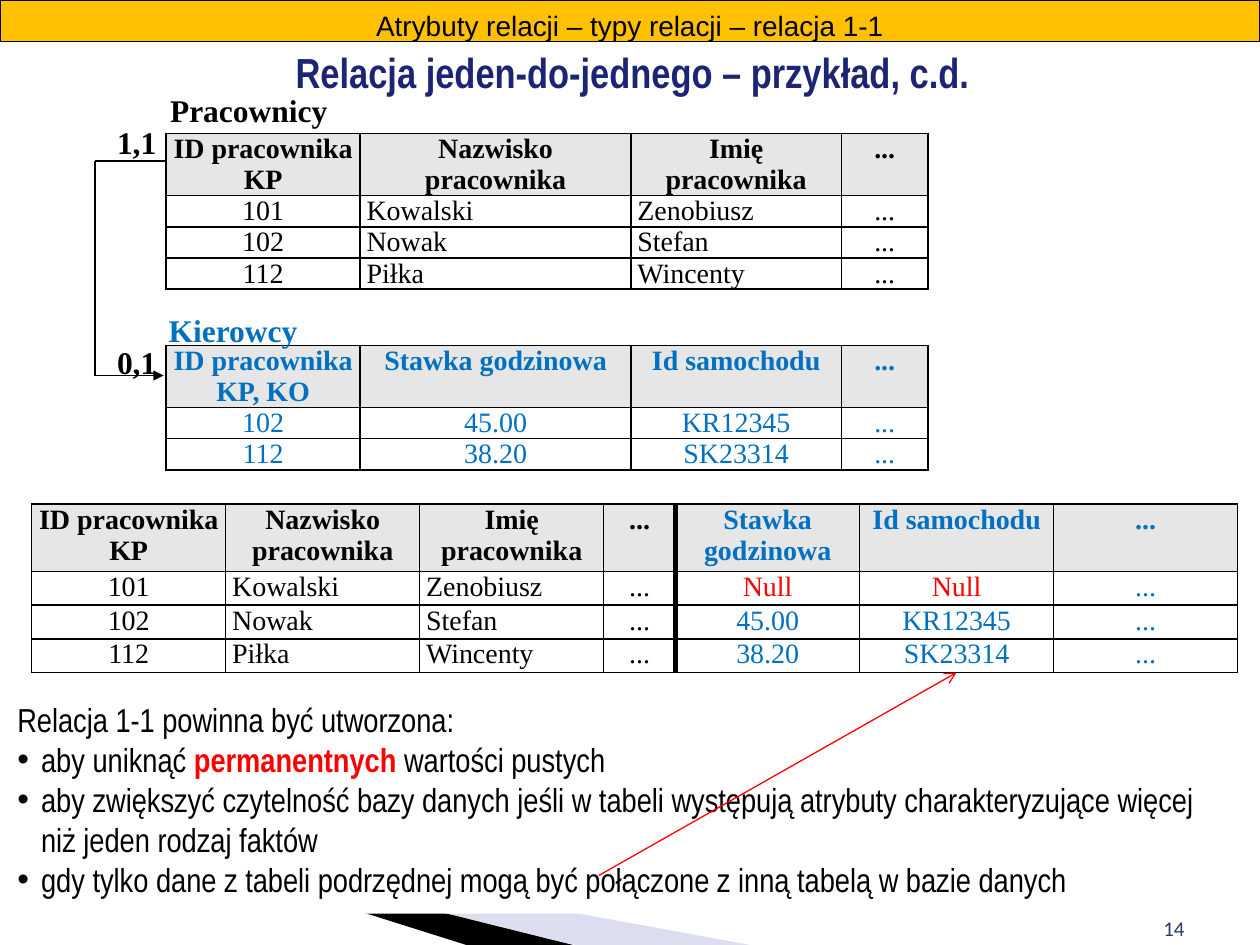
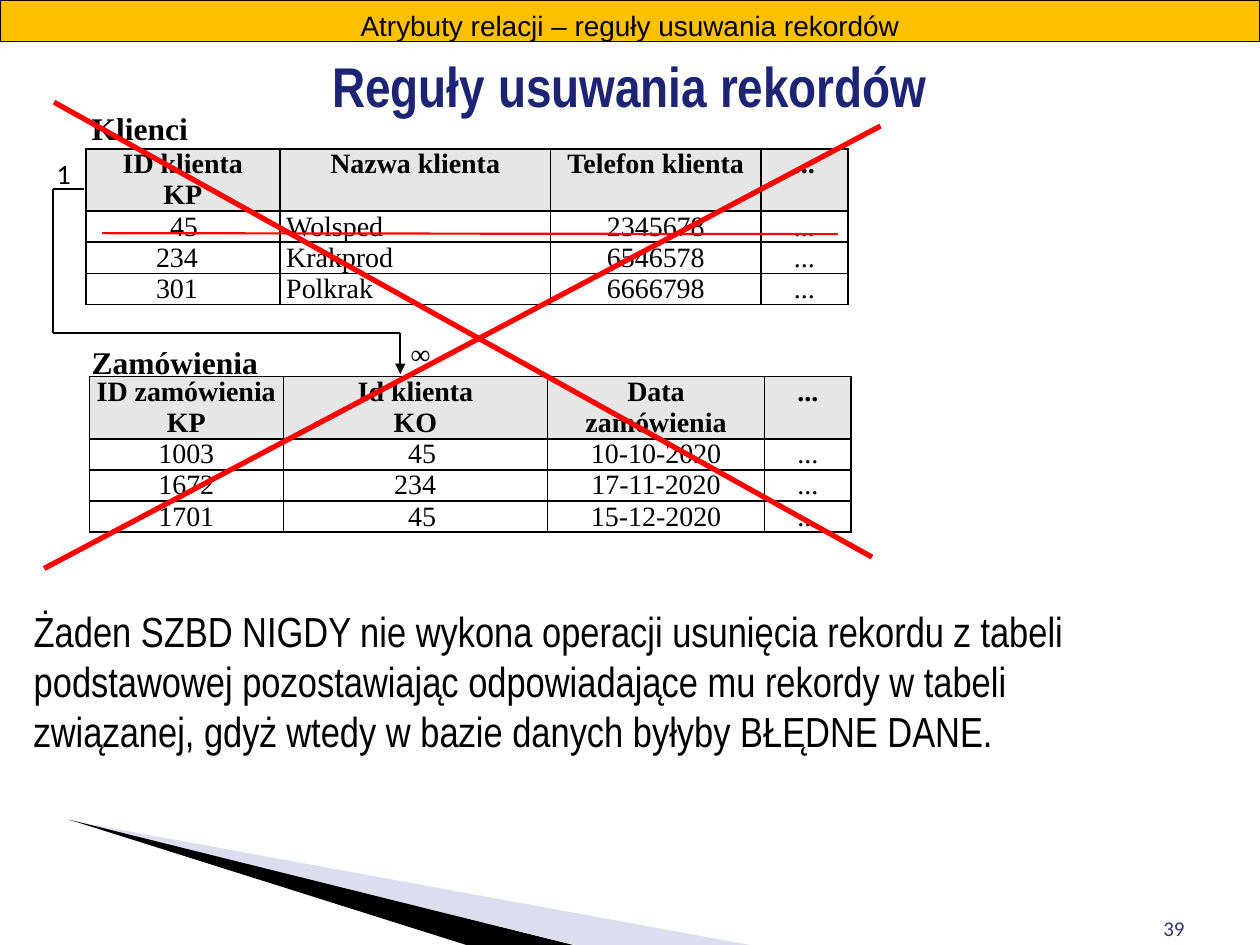
import pptx
import pptx.dml.color
import pptx.enum.shapes
import pptx.enum.text
import pptx.oxml.ns
import pptx.util
from lxml import etree

Cm = pptx.util.Cm
Pt = pptx.util.Pt
RGBColor = pptx.dml.color.RGBColor
Align = pptx.enum.text.PP_ALIGN
Anchor = pptx.enum.text.MSO_ANCHOR
qn = pptx.oxml.ns.qn

BLACK = RGBColor(0x00, 0x00, 0x00)
WHITE = RGBColor(0xFF, 0xFF, 0xFF)
RED = RGBColor(0xFF, 0x00, 0x00)
BLUE = RGBColor(0x00, 0x70, 0xC0)
NAVY = RGBColor(0x1D, 0x24, 0x74)
NUMBER_BLUE = RGBColor(0x30, 0x35, 0x6E)
AMBER = RGBColor(0xFF, 0xC0, 0x00)
HEADER_GREY = RGBColor(0xE6, 0xE6, 0xE6)
LAVENDER = RGBColor(0xA8, 0xAB, 0xD5)
SERIF = "Times New Roman"
NARROW = "Arial Narrow"
WIDTH, HEIGHT = 25.4, 19.05


def fill_text(shape, text, size, font, color, bold=False, align=Align.LEFT,
              inset=0.13, side_inset=0.25, anchor=Anchor.TOP):
    frame = shape.text_frame
    frame.word_wrap = True
    frame.auto_size = pptx.enum.text.MSO_AUTO_SIZE.NONE
    frame.vertical_anchor = anchor
    frame.margin_top = frame.margin_bottom = Cm(inset)
    frame.margin_left = frame.margin_right = Cm(side_inset)
    frame.text = text
    for paragraph in frame.paragraphs:
        paragraph.alignment = align
        paragraph.font.size = Pt(size)
        paragraph.font.name = font
        paragraph.font.bold = bold
        paragraph.font.color.rgb = color


def add_data_table(slide, left, top, heights, widths, alignments, colors, rows,
                   divider=None, tab=None):
    header_height, row_height = heights
    total = header_height + row_height * (len(rows) - 1)
    table = slide.shapes.add_table(len(rows), len(widths), Cm(left), Cm(top),
                                   Cm(sum(widths)), Cm(total)).table
    table.first_row = table.horz_banding = False
    for column, width in zip(table.columns, widths):
        column.width = Cm(width)
    for row_index, values in enumerate(rows):
        is_header = row_index == 0
        table.rows[row_index].height = Cm(header_height if is_header else row_height)
        for column_index, value in enumerate(values):
            cell = table.cell(row_index, column_index)
            cell.margin_left = cell.margin_right = Cm(0.13)
            cell.margin_top = cell.margin_bottom = 0
            properties = cell._tc.get_or_add_tcPr()
            for side, edge in (("L", column_index), ("R", column_index + 1),
                               ("T", None), ("B", None)):
                thick = edge is not None and edge == divider
                border = etree.SubElement(properties, qn("a:ln" + side),
                                          w=str(Pt(3 if thick else 1)))
                solid = etree.SubElement(border, qn("a:solidFill"))
                etree.SubElement(solid, qn("a:srgbClr"), val=str(BLACK))
            cell.fill.solid()
            cell.fill.fore_color.rgb = HEADER_GREY if is_header else WHITE
            cell.text = value
            for paragraph in cell.text_frame.paragraphs:
                centred = is_header or alignments[column_index] == "c"
                paragraph.alignment = Align.CENTER if centred else Align.LEFT
                if value.startswith("\t"):
                    tabs = etree.SubElement(paragraph._p.get_or_add_pPr(), qn("a:tabLst"))
                    etree.SubElement(tabs, qn("a:tab"), pos=str(Cm(tab)), algn="r")
                paragraph.font.size = Pt(16)
                paragraph.font.name = SERIF
                paragraph.font.bold = is_header
                paragraph.font.color.rgb = RED if value == "Null" else colors[is_header][column_index]


presentation = pptx.Presentation()
presentation.slide_width = Cm(WIDTH)
presentation.slide_height = Cm(HEIGHT)

wedges = [
    (LAVENDER, [(1.4, 16.54), (15.12, HEIGHT), (11.61, HEIGHT)]),
    (BLACK, [(1.38, 16.52), (11.55, HEIGHT), (9.4, HEIGHT)]),
]
headings = [
    ("Atrybuty relacji – typy relacji – relacja 1-1",
     "Relacja jeden-do-jednego – przykład, c.d.", 24, 0.1, 0.8, 1.22, "14"),
    ("Atrybuty relacji – reguły usuwania rekordów",
     "Reguły usuwania rekordów", 32, 0, 0.91, 1.7, "39"),
]
slides = []
for topic, title, title_size, title_left, title_top, title_height, number in headings:
    slide = presentation.slides.add_slide(presentation.slide_layouts[5])
    slides.append(slide)
    for color, points in wedges:
        corners = [(Cm(x), Cm(y)) for x, y in points]
        builder = slide.shapes.build_freeform(*corners[0], scale=1.0)
        builder.add_line_segments(corners[1:], close=True)
        wedge = builder.convert_to_shape()
        wedge.shadow.inherit = False
        wedge.line.fill.background()
        wedge.fill.solid()
        wedge.fill.fore_color.rgb = color
        if color == LAVENDER:
            tint = wedge._element.spPr.find(".//" + qn("a:srgbClr"))
            etree.SubElement(tint, qn("a:alpha"), val="40000")
    band = slide.shapes.add_shape(pptx.enum.shapes.MSO_SHAPE.RECTANGLE, 0, 0, Cm(WIDTH), Cm(0.84))
    band.shadow.inherit = False
    band.fill.solid()
    band.fill.fore_color.rgb = AMBER
    band.line.color.rgb = BLACK
    band.line.width = Pt(0.75)
    fill_text(band, topic, 16, "Arial", BLACK, align=Align.CENTER, inset=0.17)
    heading = slide.shapes.title
    heading.left, heading.top = Cm(title_left), Cm(title_top)
    heading.width, heading.height = Cm(WIDTH - title_left), Cm(title_height)
    fill_text(heading, title, title_size, NARROW, NAVY, True, Align.CENTER, side_inset=0.13)
    number_box = slide.shapes.add_textbox(Cm(18.21), Cm(17.78), Cm(5.92), Cm(1.32))
    fill_text(number_box, number, 12, "Calibri", NUMBER_BLUE, align=Align.RIGHT,
              anchor=Anchor.BOTTOM)

relation_slide, deletion_slide = slides
compact = (1.25, 0.62)
four_columns = [3.91, 5.46, 4.24, 1.75]
all_black = [[BLACK] * 4] * 2
all_blue = [[BLUE] * 4] * 2

employees = [
    ["ID pracownika\nKP", "Nazwisko pracownika", "Imię pracownika", "..."],
    ["101", "Kowalski", "Zenobiusz", "..."],
    ["102", "Nowak", "Stefan", "..."],
    ["112", "Piłka", "Wincenty", "..."],
]
drivers = [
    ["ID pracownika\nKP, KO", "Stawka godzinowa", "Id samochodu", "..."],
    ["102", "45.00", "KR12345", "..."],
    ["112", "38.20", "SK23314", "..."],
]
driver_details = {row[0]: row[1:] for row in drivers[1:]}
merged = [employees[0] + drivers[0][1:]]
for employee in employees[1:]:
    merged.append(employee + driver_details.get(employee[0], ["Null", "Null", "..."]))

add_data_table(relation_slide, 3.35, 2.69, compact, four_columns, "cllc", all_black, employees)
add_data_table(relation_slide, 3.35, 6.96, compact, four_columns, "cccc", all_blue, drivers)
add_data_table(relation_slide, 0.64, 10.16, (1.36, 0.68),
               [3.91, 3.91, 3.71, 1.45, 3.71, 3.91, 3.71], "cllcccc",
               [[BLACK] * 4 + [BLUE] * 3] * 2, merged, divider=4)

clients = [
    ["ID klienta\vKP", "Nazwa klienta", "Telefon klienta", "..."],
    ["\t45", "Wolsped", "2345678", "..."],
    ["\t234", "Krakprod", "6546578", "..."],
    ["\t301", "Polkrak", "6666798", "..."],
]
orders = [
    ["ID zamówienia\vKP", "Id klienta\vKO", "Data zamówienia", "..."],
    ["1003", "\t45", "10-10-2020", "..."],
    ["1672", "\t234", "17-11-2020", "..."],
    ["1701", "\t45", "15-12-2020", "..."],
]
add_data_table(deletion_slide, 1.73, 3, compact, four_columns, "llcc", all_black, clients, tab=2.13)
add_data_table(deletion_slide, 1.8, 7.59, compact, [3.91, 5.33, 4.37, 1.75], "clcc",
               all_black, orders, tab=2.95)

labels = [
    (relation_slide, "Pracownicy", 3.18, 1.7, 4.8, BLACK),
    (relation_slide, "Kierowcy", 3.15, 6.15, 4.8, BLUE),
    (relation_slide, "1,1", 2.11, 2.36, 1.45, BLACK),
    (relation_slide, "0,1", 2.11, 6.78, 1.45, BLACK),
    (deletion_slide, "Klienci", 1.6, 2.06, 2.77, BLACK),
    (deletion_slide, "Zamówienia", 1.6, 6.78, 3.96, BLACK),
]
for slide, text, left, top, width, color in labels:
    label = slide.shapes.add_textbox(Cm(left), Cm(top), Cm(width), Cm(1.02))
    fill_text(label, text, 18, SERIF, color, True)
for text, left, top, font in (("∞", 8.03, 6.78, SERIF), ("1", 0.89, 3.15, "Calibri")):
    multiplicity = deletion_slide.shapes.add_textbox(Cm(left), Cm(top), Cm(0.86), Cm(0.61))
    fill_text(multiplicity, text, 16, font, BLACK, inset=0)

reasons = relation_slide.shapes.add_textbox(Cm(0.1), Cm(13.97), Cm(24.89), Cm(4.45))
reasons.fill.solid()
reasons.fill.fore_color.rgb = WHITE
fill_text(reasons, "Relacja 1-1 powinna być utworzona:", 19, NARROW, BLACK)
reason_runs = [
    ["aby uniknąć ", "permanentnych", " wartości pustych"],
    ["aby zwiększyć czytelność bazy danych jeśli w tabeli występują atrybuty "
     "charakteryzujące więcej niż jeden rodzaj faktów"],
    ["gdy tylko dane z tabeli podrzędnej mogą być połączone z inną tabelą w bazie danych"],
]
for texts in reason_runs:
    paragraph = reasons.text_frame.add_paragraph()
    properties = paragraph._p.get_or_add_pPr()
    properties.set("marL", str(Cm(0.48)))
    properties.set("indent", str(-Cm(0.48)))
    etree.SubElement(properties, qn("a:buFont"), typeface="Arial")
    etree.SubElement(properties, qn("a:buChar"), char="•")
    paragraph.font.size = Pt(19)
    paragraph.font.name = NARROW
    paragraph.font.color.rgb = BLACK
    for text in texts:
        run = paragraph.add_run()
        run.text = text
        if text == "permanentnych":
            run.font.bold = True
            run.font.color.rgb = RED

warning = deletion_slide.shapes.add_textbox(Cm(0.43), Cm(12.07), Cm(23.29), Cm(4.45))
fill_text(warning, "Żaden SZBD NIGDY nie wykona operacji usunięcia rekordu z tabeli podstawowej "
          "pozostawiając odpowiadające mu rekordy w tabeli związanej, gdyż wtedy w bazie "
          "danych byłyby BŁĘDNE DANE.", 24, NARROW, BLACK)

lines = [
    (relation_slide, (3.35, 3.25), (1.91, 3.25), BLACK, 1, None),
    (relation_slide, (1.91, 3.25), (1.91, 7.57), BLACK, 1, None),
    (relation_slide, (1.91, 7.57), (3.3, 7.57), BLACK, 1, "triangle"),
    (relation_slide, (12.07, 17.65), (19.28, 13.56), RED, 0.75, "arrow"),
    (deletion_slide, (1.7, 3.81), (1.07, 3.81), BLACK, 1, None),
    (deletion_slide, (1.07, 3.81), (1.07, 6.72), BLACK, 1, None),
    (deletion_slide, (1.07, 6.72), (8.07, 6.72), BLACK, 1, None),
    (deletion_slide, (8.07, 6.72), (8.07, 7.54), BLACK, 1, "triangle"),
    (deletion_slide, (2.06, 4.7), (16.89, 4.72), RED, 1.25, None),
    (deletion_slide, (1.09, 2.06), (17.58, 11.23), RED, 3, None),
    (deletion_slide, (0.89, 11.46), (17.75, 2.54), RED, 3, None),
]
for slide, start, end, color, width, arrowhead in lines:
    connector = slide.shapes.add_connector(pptx.enum.shapes.MSO_CONNECTOR.STRAIGHT,
                                           *[Cm(value) for value in start + end])
    connector.line.color.rgb = color
    connector.line.width = Pt(width)
    if arrowhead:
        etree.SubElement(connector.line._get_or_add_ln(), qn("a:tailEnd"), type=arrowhead)
    etree.SubElement(connector._element.spPr, qn("a:effectLst"))

presentation.save("out.pptx")
